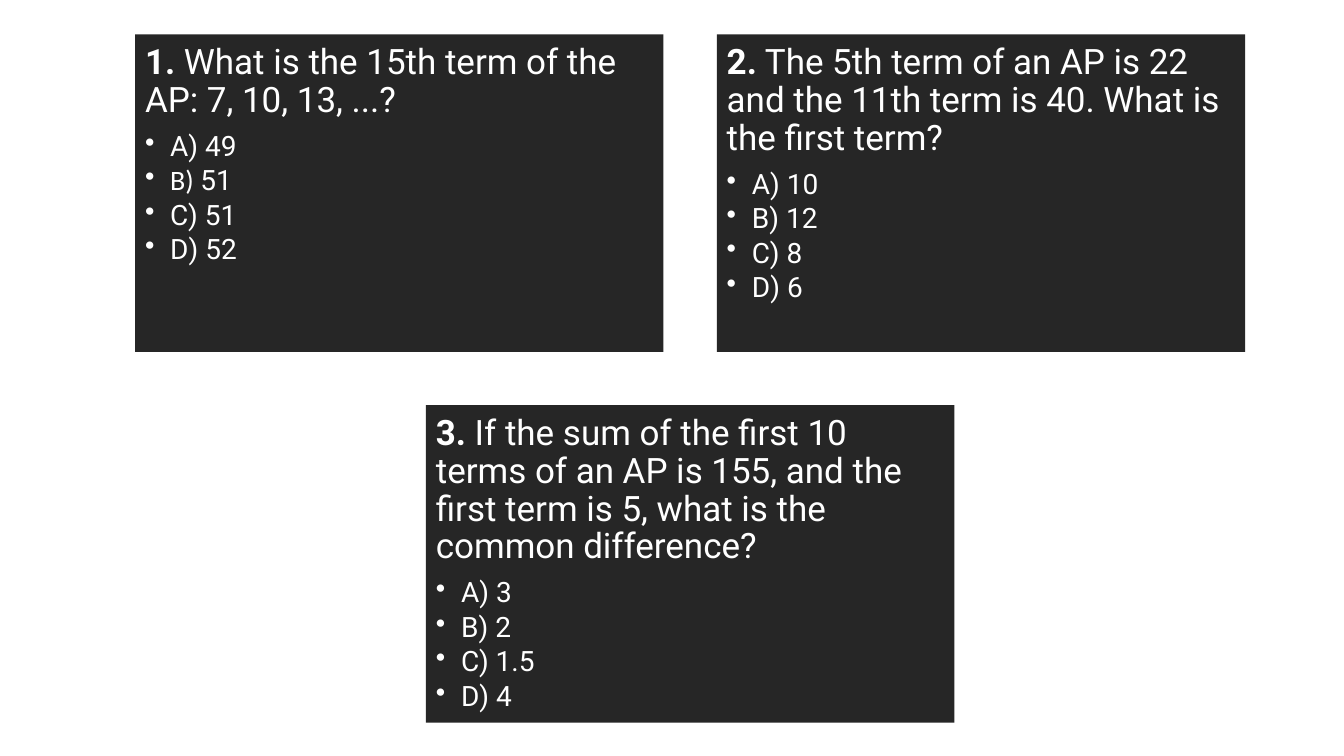
from lxml import etree
from pptx import Presentation
from pptx.dml.color import RGBColor
from pptx.enum.shapes import MSO_SHAPE
from pptx.enum.text import MSO_ANCHOR, PP_ALIGN
from pptx.oxml.ns import qn
from pptx.util import Inches, Pt

RECTANGLE, TOP, LEFT = MSO_SHAPE.RECTANGLE, MSO_ANCHOR.TOP, PP_ALIGN.LEFT
CARD_COLOR = RGBColor(0x26, 0x26, 0x26)
TEXT_COLOR = RGBColor(0xFF, 0xFF, 0xFF)
MAIN_FONT, ALTERNATE_FONT = "Roboto", "Calibri"
QUESTION_SIZE, OPTION_SIZE = 25, 20

QUIZ = [
    ("1.", " What is the 15th term of the AP: 7, 10, 13, ...?",
     [["A) 49"], [("B) ", ALTERNATE_FONT), "51"], ["C) 51"], ["D) 52"]]),
    ("2.", " The 5th term of an AP is 22 and the 11th term is 40. What is the first term?",
     [["A) 10"], ["B) 12"], ["C) 8"], ["D) 6"]]),
    ("3.", " If the sum of the first 10 terms of an AP is 155, and the first term is 5, "
     "what is the common difference?",
     [["A) 3"], ["B) 2"], ["C) 1.5"], ["D) 4"]]),
]
SLIDE_WIDTH, SLIDE_HEIGHT = 13.33, 7.5
GRID_LEFT, GRID_TOP = 1.34, 0.34
CARD_WIDTH, CARD_HEIGHT, GAP = 5.24, 3.15, 0.53
COLUMNS = 2
INSET, BULLET_INDENT = 0.1, 0.25


def card_position(index):
    """Return the left and top of a card, centring a short last row."""
    row, column = divmod(index, COLUMNS)
    cards_in_row = min(COLUMNS, len(QUIZ) - row * COLUMNS)
    column += (COLUMNS - cards_in_row) / 2
    return (GRID_LEFT + column * (CARD_WIDTH + GAP),
            GRID_TOP + row * (CARD_HEIGHT + GAP))


def add_run(paragraph, text, size, font=MAIN_FONT, bold=False):
    """Append one formatted run."""
    run = paragraph.add_run()
    run.text = text
    run.font.name, run.font.size, run.font.bold = font, Pt(size), bold
    run.font.color.rgb = TEXT_COLOR


def set_spacing(paragraph, size, share):
    """Set line spacing and a gap below as a share of the text size."""
    paragraph.alignment = LEFT
    paragraph.line_spacing = 0.9
    paragraph.space_after = Pt(size * share)


def add_bullet(paragraph):
    """Give a paragraph a hanging round bullet."""
    properties = paragraph._p.get_or_add_pPr()
    properties.set("marL", str(Inches(BULLET_INDENT)))
    properties.set("indent", str(-Inches(BULLET_INDENT)))
    etree.SubElement(properties, qn("a:buChar"), char="•")


def add_card(slide, index, number, question, options):
    """Draw one question card with its options."""
    left, top = card_position(index)
    card = slide.shapes.add_shape(RECTANGLE, Inches(left), Inches(top),
                                  Inches(CARD_WIDTH), Inches(CARD_HEIGHT))
    card.shadow.inherit = False
    card.fill.solid()
    card.fill.fore_color.rgb = CARD_COLOR
    card.line.fill.background()
    frame = card.text_frame
    frame.word_wrap, frame.vertical_anchor = True, TOP
    frame.margin_left = frame.margin_right = Inches(INSET)
    frame.margin_top = frame.margin_bottom = Inches(INSET)

    heading = frame.paragraphs[0]
    set_spacing(heading, QUESTION_SIZE, 0.35)
    add_run(heading, number, QUESTION_SIZE, bold=True)
    add_run(heading, question, QUESTION_SIZE)
    for pieces in options:
        option = frame.add_paragraph()
        option.level = 1
        set_spacing(option, OPTION_SIZE, 0.15)
        add_bullet(option)
        for piece in pieces:
            text, font = (piece, MAIN_FONT) if isinstance(piece, str) else piece
            add_run(option, text, OPTION_SIZE, font)


def main():
    """Build the quiz slide and save it."""
    presentation = Presentation()
    presentation.slide_width = Inches(SLIDE_WIDTH)
    presentation.slide_height = Inches(SLIDE_HEIGHT)
    slide = presentation.slides.add_slide(presentation.slide_layouts[6])
    for index, (number, question, options) in enumerate(QUIZ):
        add_card(slide, index, number, question, options)
    presentation.save("out.pptx")


if __name__ == "__main__":
    main()
